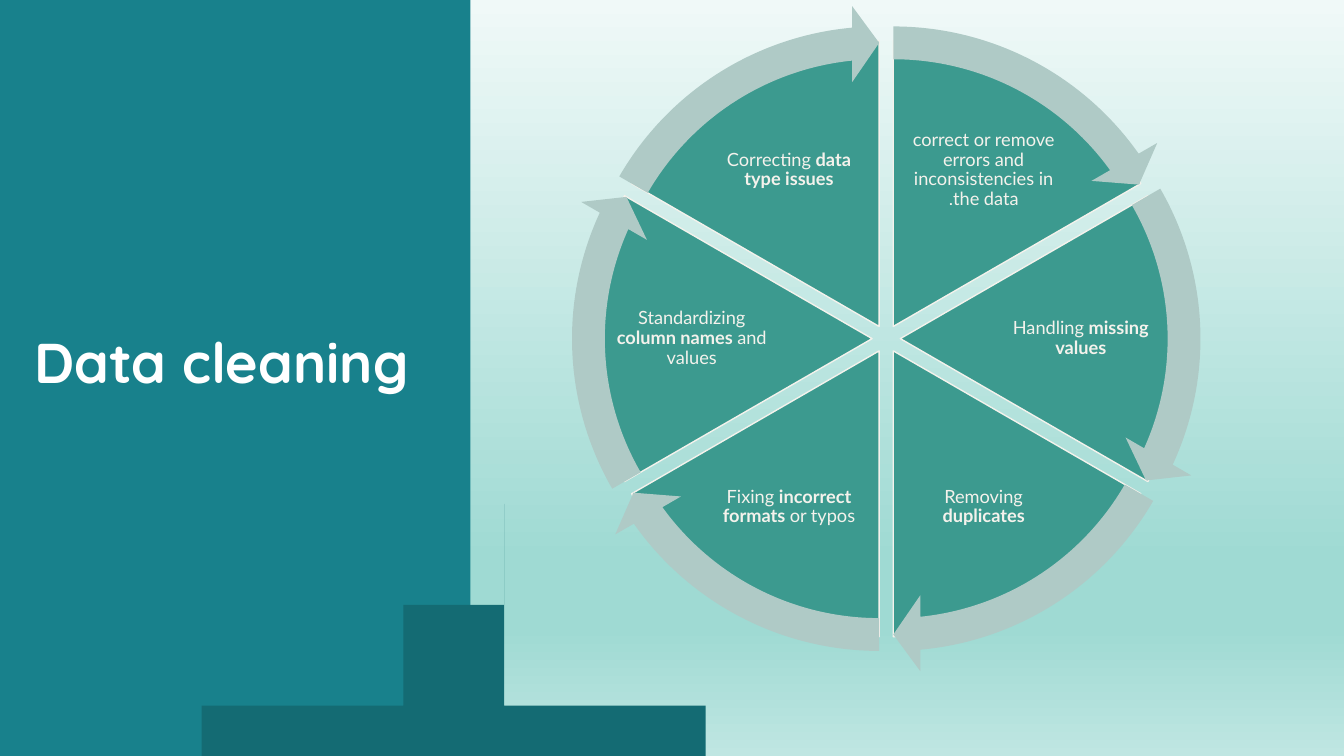
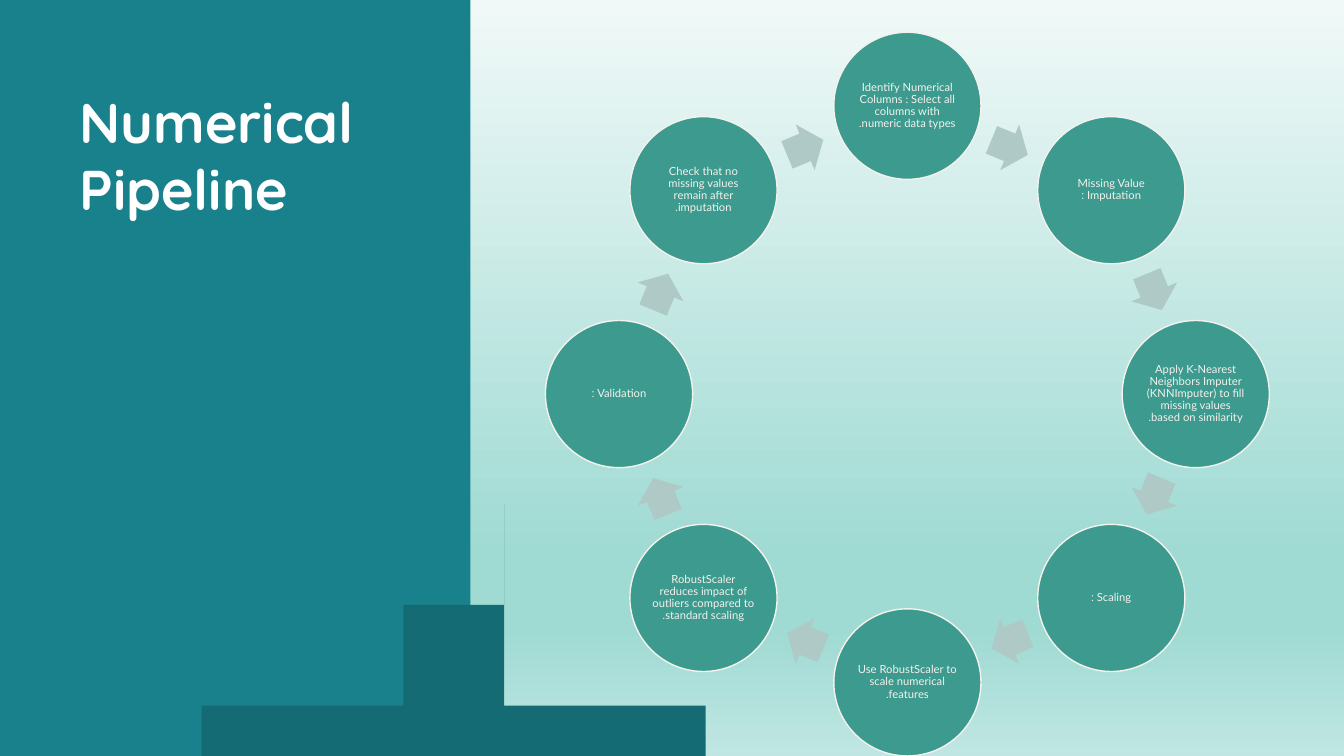
from math import cos, radians, sin

from lxml import etree
from pptx import Presentation
from pptx.dml.color import RGBColor
from pptx.enum.shapes import MSO_SHAPE
from pptx.enum.text import MSO_ANCHOR, PP_ALIGN
from pptx.oxml.ns import qn
from pptx.util import Inches, Pt

PIE, BEND = MSO_SHAPE.PIE, MSO_SHAPE.CIRCULAR_ARROW
OVAL, ARROW, RECT = MSO_SHAPE.OVAL, MSO_SHAPE.RIGHT_ARROW, MSO_SHAPE.RECTANGLE
MIDDLE, CENTER = MSO_ANCHOR.MIDDLE, PP_ALIGN.CENTER

WIDE, HIGH = 13.33, 7.5
BAND = WIDE * 0.35
HEAD, BODY = "Quicksand", "Lato"
COLOR = {"band": "18818C", "fold": "146B73", "node": "3C9A8F",
         "arrow": "AFCAC6", "cream": "F4F2EC", "white": "FFFFFF"}
FADE = [(0, "F0F9F8"), (74, "9FDAD3"), (83, "9FDAD3"), (100, "BFE6E2")]

# Each label is a list of runs, plain and bold by turns.
CLEAN = {
    "title": "Data cleaning", "box": (0.22, 3.13, 4.23, 4.2),
    "labels": [
        ["correct or remove errors and inconsistencies in the data."],
        ["Handling ", "missing values"],
        ["Removing ", "duplicates"],
        ["Fixing ", "incorrect formats ", "or typos"],
        ["Standardizing ", "column names", " and values"],
        ["Correcting ", "data type issues"],
    ],
}
PIPE = {
    "title": "Numerical Pipeline", "box": (0.67, 0.75, 3.57, 4.2),
    "labels": [
        ["Identify Numerical Columns : Select all columns with numeric data types."],
        ["Missing Value Imputation :"],
        ["Apply K-Nearest Neighbors Imputer (KNNImputer) to fill missing values "
         "based on similarity."],
        ["Scaling :"],
        ["Use RobustScaler to scale numerical features."],
        ["RobustScaler reduces impact of outliers compared to standard scaling."],
        ["Validation :"],
        ["Check that no missing values remain after imputation."],
    ],
}


def rgb(name):
    return RGBColor.from_string(COLOR[name])


def polar(mid, radius, angle):
    """Point at an angle in degrees, clockwise from the right."""
    turn = radians(angle)
    return mid[0] + radius * cos(turn), mid[1] + radius * sin(turn)


def around(mid, wide, high):
    """Left, top, width and height of a box centred on mid."""
    return [Inches(v) for v in (mid[0] - wide / 2, mid[1] - high / 2, wide, high)]


def paint(shape, fill, line=None):
    shape.shadow.inherit = False
    shape.fill.solid()
    shape.fill.fore_color.rgb = rgb(fill)
    if line:
        shape.line.color.rgb = rgb(line)
        shape.line.width = Pt(1)
    else:
        shape.line.fill.background()


def draw(slide, kind, mid, wide, high, fill, line=None, adjust=()):
    shape = slide.shapes.add_shape(kind, *around(mid, wide, high))
    for i, value in enumerate(adjust):
        shape.adjustments[i] = value
    paint(shape, fill, line)
    return shape


def style(run, font, size, color, bold):
    run.font.name, run.font.size, run.font.bold = font, Pt(size), bold
    run.font.color.rgb = rgb(color)


def inset(frame, gap):
    frame.word_wrap = True
    frame.margin_left = frame.margin_right = Inches(gap)
    frame.margin_top = frame.margin_bottom = Inches(gap)


def label(shape, parts, size, gap):
    """Centred right-to-left paragraph of plain and bold runs."""
    frame = shape.text_frame
    inset(frame, gap)
    frame.vertical_anchor = MIDDLE
    para = frame.paragraphs[0]
    para.alignment, para.line_spacing = CENTER, 0.9
    para._p.get_or_add_pPr().set("rtl", "1")
    for i, part in enumerate(parts):
        run = para.add_run()
        run.text = part
        style(run, BODY, size, "cream", i % 2 == 1)


def backdrop(master):
    fill = master.background.fill
    fill.gradient()
    fill.gradient_angle = 270
    stops = master.element.find(".//" + qn("a:gsLst"))
    for stop in list(stops):
        stops.remove(stop)
    for share, color in FADE:
        stop = etree.SubElement(stops, qn("a:gs"), pos=str(share * 1000))
        etree.SubElement(stop, qn("a:srgbClr"), val=color)


def base(prs, data):
    """Slide with the side band, the curved fold and the title."""
    slide = prs.slides.add_slide(prs.slide_layouts[6])
    draw(slide, RECT, (BAND / 2, HIGH / 2), BAND, HIGH, "band")
    bend, steps = 2.66, 30
    turns = [90 * i / steps for i in range(steps + 1)]
    rise = [polar((BAND - bend, HIGH - bend), bend, 90 - t) for t in turns]
    fall = [polar((BAND + bend, HIGH - bend), bend, 180 - t) for t in turns]
    pen = slide.shapes.build_freeform(*rise[0], scale=Inches(1))
    pen.add_line_segments(rise[1:] + fall, close=True)
    paint(pen.convert_to_shape(), "fold")

    frame = slide.shapes.add_textbox(*map(Inches, data["box"])).text_frame
    inset(frame, 0.12)
    frame.text = data["title"]
    style(frame.paragraphs[0].runs[0], HEAD, 40, "white", True)
    return slide


def wheel(slide, labels):
    mid, unit = (8.79, 3.36), 0.6  # adjustment units per degree
    step = 360 / len(labels)
    starts = [270 + step * i for i in range(len(labels))]
    hubs = [polar(mid, 0.14, s + step / 2) for s in starts]
    for start, hub, parts in zip(starts, hubs, labels):
        ends = [a % 360 * unit for a in (start, start + step)]
        draw(slide, PIE, hub, 5.67, 5.67, "node", "cream", ends)
        spot = polar(mid, 1.93, start + step / 2)
        label(slide.shapes.add_textbox(*around(spot, 1.55, 1.15)), parts, 13, 0.02)
    for start, hub in zip(starts, hubs):
        tip = (start + step - 5.46) % 360 * unit
        draw(slide, BEND, hub, 6.38, 6.38, "arrow",
             adjust=(0.051, 3.275, tip, start % 360 * unit, 0.059))


def ring(slide, labels):
    mid, step = (9, 3.91), 360 / len(labels)
    for i, parts in enumerate(labels):
        angle = 270 + step * i
        node = draw(slide, OVAL, polar(mid, 2.86, angle), 1.46, 1.46, "node", "cream")
        label(node, parts, 8, 0.01)
        turn = angle + step / 2
        arrow = draw(slide, ARROW, polar(mid, 2.65, turn), 0.39, 0.49, "arrow",
                     adjust=(0.6, 0.5))
        arrow.rotation = (turn + 90) % 360


def main():
    prs = Presentation()
    prs.slide_width, prs.slide_height = Inches(WIDE), Inches(HIGH)
    backdrop(prs.slide_master)
    for data, chart in ((CLEAN, wheel), (PIPE, ring)):
        chart(base(prs, data), data["labels"])
    prs.save("out.pptx")


if __name__ == "__main__":
    main()
